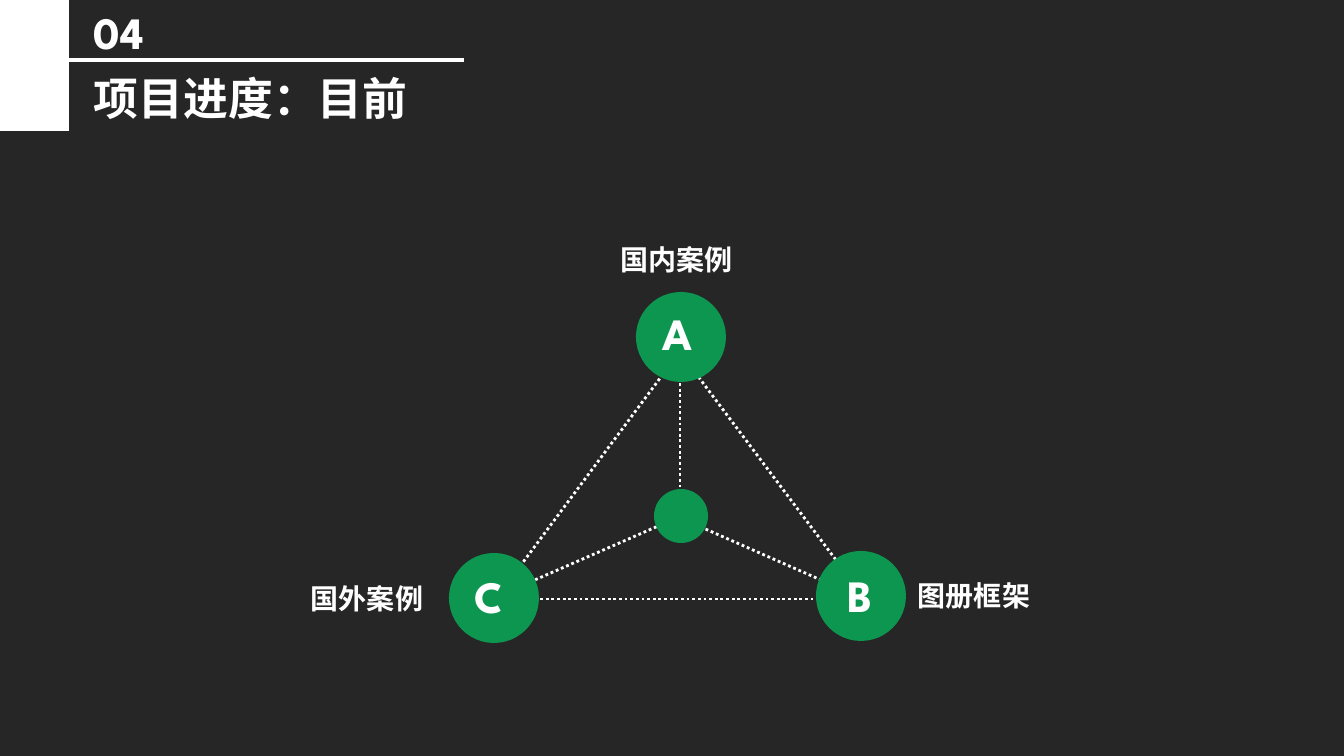
import lxml.etree
import pptx
import pptx.dml.color
import pptx.enum.dml
import pptx.enum.shapes
import pptx.enum.text
import pptx.oxml.ns
import pptx.util

WIDTH, HEIGHT = 1344, 756
EMU_PER_PX = 914400 / 100.8
DARK, WHITE, GREEN = "262626", "FFFFFF", "0D964F"
FONT = "League Spartan"

SIDE_PANEL = (0, 0, 69, 131)
HEADER_RULE = (69, 60, 464, 60)
SECTION_NUMBER = ("04", (84, 0, 74, 65), 32, True)
TITLE = ("项目进度：目前", (84, 66, 479, 65), 32, True)

DOTTED_LINES = [
    (680, 338, 680, 514),
    (672, 520, 505, 593),
    (658, 323, 863, 596),
    (690, 338, 486, 612),
    (512, 599, 869, 599),
    (685, 520, 864, 599),
]
LABELS = [
    ("国内案例", (611, 238, 294, 44), 20, True),
    ("国外案例", (301, 577, 133, 44), 20, False),
    ("图册框架", (908, 574, 133, 44), 20, False),
]
NODE_SIZE = 90
NODES = [
    ("A", (636, 292), (653, 301, 53, 65)),
    ("B", (816, 551), (838, 563, 46, 65)),
    ("C", (449, 553), (465, 564, 55, 65)),
]
HUB = (654, 489, 54, 54)


def emu(*lengths):
    return [pptx.util.Emu(round(length * EMU_PER_PX)) for length in lengths]


def color(value):
    return pptx.dml.color.RGBColor.from_string(value)


def add_filled(shapes, kind, bounds, fill):
    shape = shapes.add_shape(kind, *emu(*bounds))
    shape.shadow.inherit = False
    shape.fill.solid()
    shape.fill.fore_color.rgb = color(fill)
    shape.line.fill.background()
    return shape


def add_line(shapes, ends, width, dash=None):
    line = shapes.add_connector(pptx.enum.shapes.MSO_CONNECTOR.STRAIGHT, *emu(*ends))
    line.line.color.rgb = color(WHITE)
    line.line.width = pptx.util.Pt(width)
    if dash:
        line.line.dash_style = dash
    properties = line._element.spPr
    lxml.etree.SubElement(properties, pptx.oxml.ns.qn("a:effectLst"))


def add_text(shapes, text, bounds, size, wrap):
    box = shapes.add_textbox(*emu(*bounds))
    frame = box.text_frame
    frame.word_wrap = wrap
    frame.auto_size = pptx.enum.text.MSO_AUTO_SIZE.SHAPE_TO_FIT_TEXT
    span = frame.paragraphs[0].add_run()
    span.text = text
    span.font.color.rgb = color(WHITE)
    for name, value in {"name": FONT, "size": pptx.util.Pt(size), "bold": True}.items():
        setattr(span.font, name, value)
    east_asian = lxml.etree.SubElement(span.font._element, pptx.oxml.ns.qn("a:ea"))
    east_asian.set("typeface", FONT)


def main():
    deck = pptx.Presentation()
    deck.slide_width, deck.slide_height = emu(WIDTH, HEIGHT)
    page = deck.slides.add_slide(deck.slide_layouts[6])
    page.background.fill.solid()
    page.background.fill.fore_color.rgb = color(DARK)
    shapes = page.shapes
    rectangle = pptx.enum.shapes.MSO_SHAPE.RECTANGLE
    oval = pptx.enum.shapes.MSO_SHAPE.OVAL

    add_filled(shapes, rectangle, SIDE_PANEL, WHITE)
    add_line(shapes, HEADER_RULE, 3)
    add_text(shapes, *TITLE)

    for ends in DOTTED_LINES:
        add_line(shapes, ends, 2, pptx.enum.dml.MSO_LINE.ROUND_DOT)
    for label in LABELS:
        add_text(shapes, *label)
    for letter, corner, letter_bounds in NODES:
        node = shapes.add_group_shape()
        add_filled(node.shapes, oval, (*corner, NODE_SIZE, NODE_SIZE), GREEN)
        add_text(node.shapes, letter, letter_bounds, 32, False)
    add_filled(shapes, oval, HUB, GREEN)
    add_text(shapes, *SECTION_NUMBER)

    deck.save("out.pptx")


if __name__ == "__main__":
    main()
